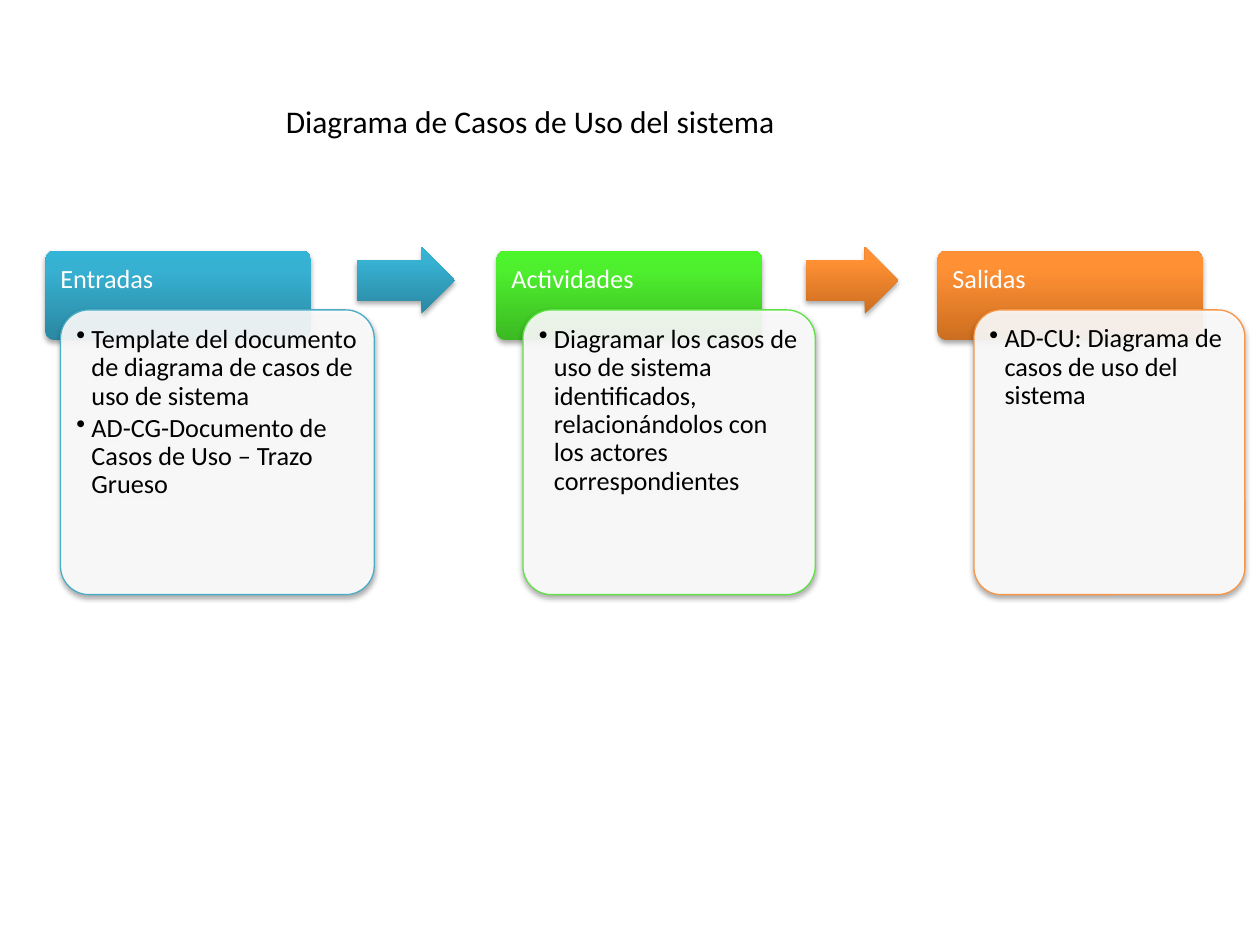
from lxml.etree import SubElement
from pptx import Presentation
from pptx.dml.color import RGBColor
from pptx.enum.shapes import MSO_SHAPE as SHAPE
from pptx.enum.text import MSO_ANCHOR as ANCHOR, PP_ALIGN as ALIGN
from pptx.oxml.ns import qn
from pptx.util import Inches, Pt

BLUE = ("2A88A2", "37B1D2", "34B4D6")
GREEN = ("3CB923", "4EF02E", "4CF52A")
ORANGE = ("CC6E20", "FF9034", "FF9136")

# heading, header left, card left, card width, gradient, card line, items
STAGES = [
    ("Entradas", 0.36, 0.48, 2.49, BLUE, "4BACC6",
     ["Template del documento de diagrama de casos de uso de sistema",
      "AD-CG-Documento de Casos de Uso – Trazo Grueso"]),
    ("Actividades", 3.94, 4.15, 2.32, GREEN, "60E146",
     ["Diagramar los casos de uso de sistema identificados, "
      "relacionándolos con los actores correspondientes"]),
    ("Salidas", 7.44, 7.73, 2.15, ORANGE, "F79646",
     ["AD-CU: Diagrama de casos de uso del sistema"]),
]
ARROWS = [(2.83, 0.78, BLUE), (6.4, 0.73, ORANGE)]


def rgb(color):
    return RGBColor.from_string(color)


def add_element(parent, tag, **attrs):
    return SubElement(parent, qn(tag), {k: str(v) for k, v in attrs.items()})


def set_gradient(sp, colors):
    """Fill from bottom to top with stops at 0, 80 and 100 %."""
    sp.fill.gradient()
    sp.fill.gradient_angle = 90
    stops = sp._element.spPr.find(".//" + qn("a:gsLst"))
    stops.clear()
    for pos, color in zip((0, 80000, 100000), colors):
        add_element(add_element(stops, "a:gs", pos=pos), "a:srgbClr", val=color)


def add_shadowed(slide, kind, left, top, width, height, *adjustments):
    s = slide.shapes.add_shape(kind, Inches(left), Inches(top),
                               Inches(width), Inches(height))
    for i, value in enumerate(adjustments):
        s.adjustments[i] = value
    s.line.fill.background()
    s.shadow.inherit = False
    effects = s._element.spPr.find(qn("a:effectLst"))
    shadow = add_element(effects, "a:outerShdw", blurRad=Pt(3.1), dist=Pt(1.8),
                         dir=5400000, rotWithShape=0)
    color = add_element(shadow, "a:srgbClr", val="000000")
    add_element(color, "a:alpha", val=35000)
    return s


def set_text(s, lines, size, color, margin=None, spacing=None):
    tf = s.text_frame
    tf.word_wrap = True
    tf.vertical_anchor = ANCHOR.TOP
    if margin is not None:
        tf.margin_left = tf.margin_right = Inches(margin)
        tf.margin_top = tf.margin_bottom = Inches(margin)
    tf.text = "\n".join(lines)
    for p in tf.paragraphs:
        p.alignment = ALIGN.LEFT
        p.line_spacing = spacing
        p.font.name = "Calibri"
        p.font.size = Pt(size)
        p.font.color.rgb = rgb(color)


def add_header(slide, left, heading, colors):
    s = add_shadowed(slide, SHAPE.ROUNDED_RECTANGLE, left, 1.99, 2.11, 0.71, 0.1)
    set_gradient(s, colors)
    set_text(s, [heading], 15, "FFFFFF", 0.1, 0.9)


def add_card(slide, left, width, line_color, items):
    s = add_shadowed(slide, SHAPE.ROUNDED_RECTANGLE, left, 2.46, width, 2.26, 0.1)
    s.fill.solid()
    s.fill.fore_color.rgb = rgb("FFFFFF")
    fill_color = s._element.spPr.find(qn("a:solidFill"))[0]
    add_element(fill_color, "a:alpha", val=90000)
    s.line.color.rgb = rgb(line_color)
    s.line.width = Pt(0.75)
    set_text(s, items, 15, "000000", 0.06, 0.9)
    for p in s.text_frame.paragraphs:
        p.space_after = Pt(2)
        pPr = p._p.get_or_add_pPr()
        pPr.set("marL", str(Inches(0.12)))
        pPr.set("indent", str(-Inches(0.12)))
        bullet = pPr.makeelement(qn("a:buChar"), {"char": "•"})
        pPr.find(qn("a:defRPr")).addprevious(bullet)


def add_arrow(slide, left, width, colors):
    s = add_shadowed(slide, SHAPE.RIGHT_ARROW, left, 1.96, width, 0.53, 0.6, 0.5)
    set_gradient(s, colors)


def add_title(slide, text):
    s = slide.shapes.add_textbox(Inches(2.17), Inches(0.76),
                                 Inches(4.25), Inches(1.31))
    set_text(s, [text], 18, "000000")


def main():
    prs = Presentation()
    prs.slide_width, prs.slide_height = Inches(10), Inches(7.5)
    slide = prs.slides.add_slide(prs.slide_layouts[6])
    for heading, left, card_left, width, colors, line_color, items in STAGES:
        add_header(slide, left, heading, colors)
        add_card(slide, card_left, width, line_color, items)
    for arrow in ARROWS:
        add_arrow(slide, *arrow)
    add_title(slide, "Diagrama de Casos de Uso del sistema")
    prs.save("out.pptx")


if __name__ == "__main__":
    main()
